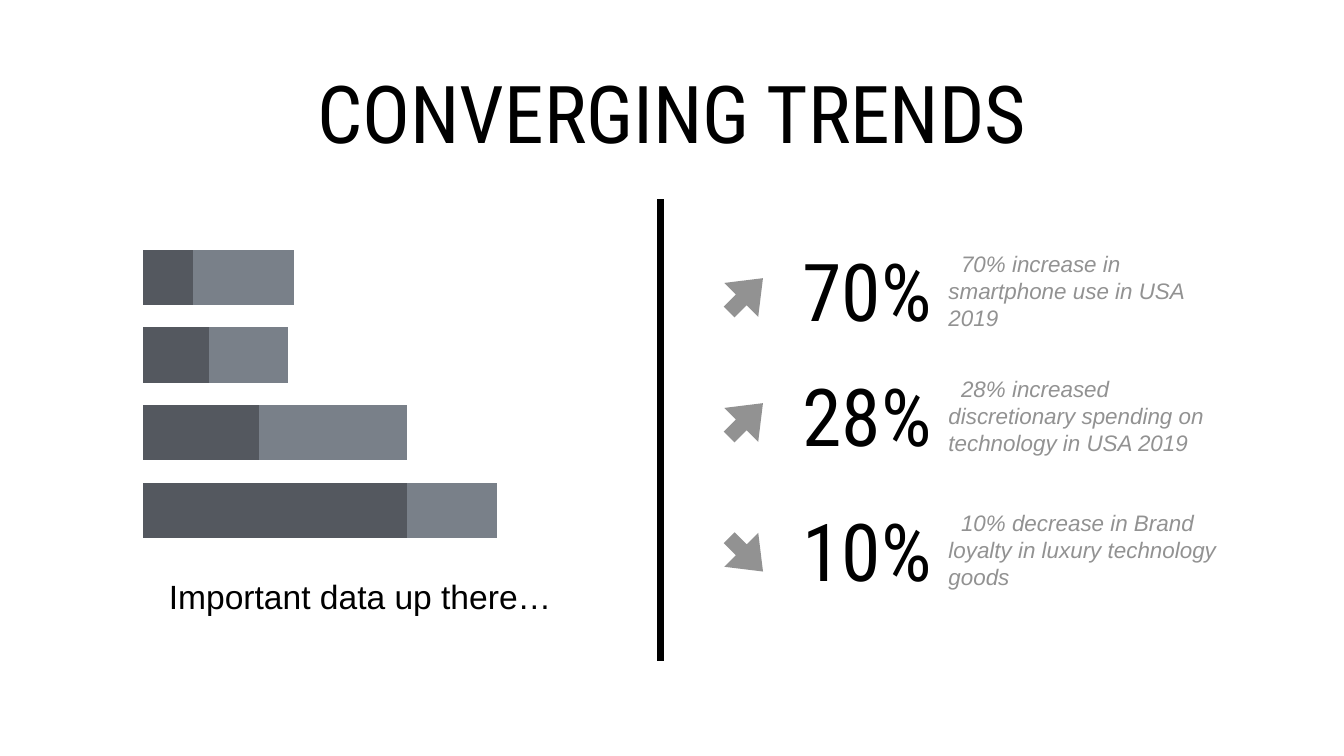
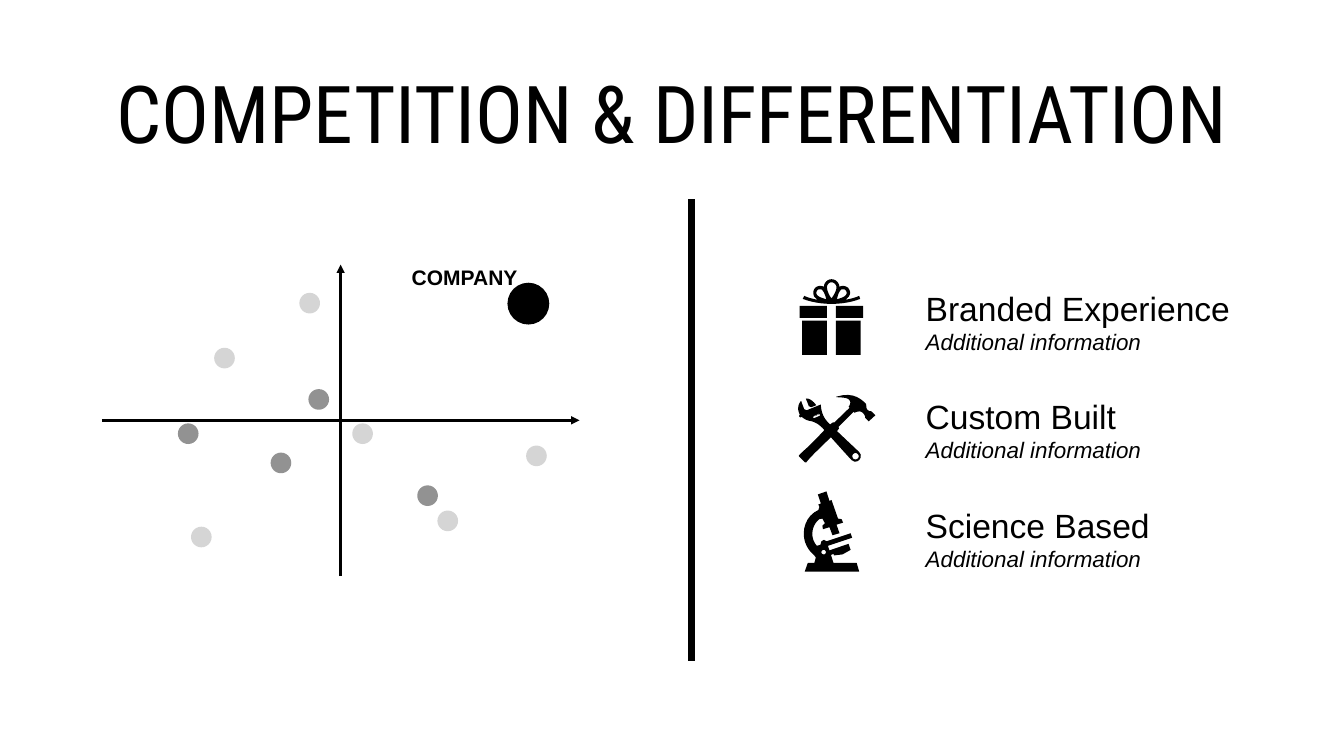
"""Build two pitch slides: converging trends, and competition with differentiation."""
from dataclasses import dataclass
from typing import NamedTuple

from lxml import etree
from pptx import Presentation
from pptx import util as u
from pptx.chart.data import CategoryChartData
from pptx.dml.color import RGBColor
from pptx.enum import chart as charts, shapes, text
from pptx.oxml import parse_xml
from pptx.oxml.ns import nsdecls, qn

CELL = u.Inches(1)
COLUMNS, ROWS = 26.67, 15
BLACK, WHITE, GRAY, PALE = "000000", "FFFFFF", "929292", "D5D5D5"
DARK_BAR, LIGHT_BAR = "54585F", "798089"
BODY_FONT, HEAD_FONT = "Arial", "Roboto Condensed"
PADDING = 0.06
CURVE_STEPS = 6


class Box(NamedTuple):
    left: float
    top: float
    width: float
    height: float

    def cells(self) -> list:
        return [grid(length) for length in self]


class Trend(NamedTuple):
    top: float
    figure: str
    detail: str
    rotation: int


class Dot(NamedTuple):
    left: float
    top: float
    color: str
    size: float = 0.41


@dataclass
class Style:
    size: float
    font: str = BODY_FONT
    color: str = BLACK
    bold: bool = False
    italic: bool = False
    align: text.PP_ALIGN = text.PP_ALIGN.LEFT
    indent: float = 0
    before: float = 0


HEADLINE = Style(114, HEAD_FONT, align=text.PP_ALIGN.CENTER)
FIGURE = Style(114, HEAD_FONT, align=text.PP_ALIGN.RIGHT)
DETAIL = Style(32, color=GRAY, italic=True, indent=0.25)
CAPTION = Style(48, indent=0.25, before=59)
FEATURE = Style(48, before=59)
EXTRA = Style(32, italic=True)
LABEL = Style(30, bold=True, align=text.PP_ALIGN.CENTER)

TITLE_BOX = Box(1.85, 0.96, 22.97, 2.5)
TRENDS = [
    Trend(4.75, "70%", "70% increase in smartphone use in USA 2019", 315),
    Trend(7.23, "28%", "28% increased discretionary spending on technology in USA 2019", 315),
    Trend(9.9, "10%", "10% decrease in Brand loyalty in luxury technology goods", 45),
]
SERIES = [
    ("Series 1", (19, 25, 44, 100), DARK_BAR),
    ("Series 2", (38, 30, 56, 34), LIGHT_BAR),
]
DOTS = [
    Dot(10.07, 5.61, BLACK, 0.83),
    Dot(5.37, 8.98, GRAY), Dot(3.53, 8.4, GRAY), Dot(6.12, 7.72, GRAY),
    Dot(4.25, 6.9, PALE), Dot(8.68, 10.13, PALE), Dot(10.44, 8.84, PALE),
    Dot(6.99, 8.4, PALE), Dot(5.94, 5.81, PALE), Dot(8.28, 9.63, GRAY),
    Dot(3.79, 10.45, PALE),
]
FEATURES = ["Branded Experience", "Custom Built", "Science Based"]

GIFT_PANELS = [(15.87, 6.07, 16.41, 6.31), (16.59, 6.07, 17.13, 6.31),
               (15.92, 6.36, 16.41, 7.04), (16.59, 6.36, 17.08, 7.04)]
GIFT = [
    "16.5,5.54 C 16.42,5.54 16.35,5.61 16.35,5.69 16.29,5.66 16.22,5.67 16.18,5.71"
    " 16.15,5.74 16.14,5.77 16.14,5.81 16.14,5.84 16.15,5.88 16.17,5.9"
    " 16.19,5.92 16.21,5.94 16.23,5.95 16.13,5.93 16.04,5.91 15.96,5.87"
    " L 15.93,5.93 C 16.08,5.99 16.29,6.03 16.5,6.03 16.72,6.03 16.92,5.99 17.07,5.93"
    " L 17.05,5.87 C 16.97,5.91 16.87,5.93 16.77,5.95 16.79,5.94 16.81,5.92 16.83,5.9"
    " 16.85,5.88 16.87,5.84 16.87,5.81 16.87,5.77 16.85,5.74 16.83,5.71"
    " 16.78,5.67 16.71,5.66 16.66,5.69 16.65,5.61 16.59,5.54 16.5,5.54",
    "16.5,5.6 C 16.55,5.6 16.6,5.65 16.6,5.7 16.6,5.77 16.54,5.87 16.5,5.92"
    " 16.46,5.87 16.41,5.77 16.41,5.7 16.41,5.65 16.45,5.6 16.5,5.6",
    "16.27,5.74 C 16.29,5.74 16.31,5.74 16.32,5.76 16.36,5.8 16.38,5.88 16.4,5.94"
    " 16.34,5.92 16.26,5.9 16.22,5.86 16.21,5.85 16.2,5.83 16.2,5.81"
    " 16.2,5.79 16.21,5.77 16.22,5.76 16.24,5.74 16.25,5.74 16.27,5.74",
    "16.73,5.74 C 16.75,5.74 16.77,5.74 16.78,5.76 16.81,5.79 16.81,5.83 16.78,5.86"
    " 16.75,5.9 16.66,5.92 16.61,5.94 16.62,5.88 16.64,5.8 16.68,5.76"
    " 16.69,5.74 16.71,5.74 16.73,5.74",
] + [f"{left},{top} {left},{bottom} {right},{bottom} {right},{top}"
     for left, top, right, bottom in GIFT_PANELS]
HAMMER = [
    "17.14,7.97 C 17.02,7.86 16.86,7.79 16.6,7.87 16.59,7.87 16.59,7.88 16.6,7.88"
    " 16.69,7.89 16.8,7.88 16.85,7.93 16.91,7.99 16.84,8.07 16.84,8.07"
    " L 16.86,8.09 16.56,8.38 16.53,8.38 C 16.44,8.43 16.26,8.65 16.13,8.77"
    " 16.03,8.88 15.91,8.97 15.87,9.02 15.85,9.03 15.85,9.05 15.86,9.06"
    " L 15.97,9.17 C 15.98,9.18 16,9.18 16.01,9.16 16.05,9.11 16.15,9 16.26,8.9"
    " 16.38,8.77 16.6,8.59 16.65,8.5 L 16.64,8.47 16.94,8.17 16.96,8.19"
    " C 16.96,8.19 17.06,8.13 17.12,8.19 17.18,8.25 17.17,8.29 17.17,8.29"
    " L 17.24,8.36 17.37,8.24 17.29,8.16 C 17.29,8.16 17.17,8.17 17.19,8.02"
    " 17.17,8 17.16,7.99 17.14,7.97",
]
WRENCH = [
    "15.89,7.96 C 15.82,8.05 15.83,8.15 15.87,8.22 15.87,8.23 15.86,8.25 15.86,8.25"
    " 15.85,8.26 15.88,8.29 15.89,8.28 15.89,8.28 15.9,8.28 15.91,8.27"
    " 15.95,8.31 16.01,8.34 16.06,8.35 16.16,8.36 16.25,8.42 16.32,8.49"
    " 16.36,8.53 16.84,9.07 16.9,9.13 17.01,9.23 17.15,9.07 17.05,8.97"
    " 17,8.92 16.58,8.53 16.43,8.38 16.3,8.25 16.29,8.08 16.29,8.03"
    " L 16.28,8.03 16.01,8.14 15.96,8.12 C 15.96,8.12 15.92,8.02 15.9,7.96",
    "15.99,7.91 C 16.02,7.97 16.05,8.06 16.05,8.06 L 16.1,8.08 16.2,8.04"
    " C 16.1,7.91 16.02,7.9 15.99,7.91",
    "16.13,8.25 16.15,8.27 16.17,8.24 16.2,8.25 16.21,8.22 16.24,8.23 16.25,8.2"
    " 16.27,8.23 16.27,8.25 16.15,8.3 16.14,8.29",
    "16.93,9.01 C 16.96,8.98 17,8.98 17.02,9.01 17.05,9.03 17.05,9.07 17.02,9.1"
    " 17,9.12 16.96,9.12 16.93,9.1 16.91,9.07 16.91,9.03 16.93,9.01",
]
MICROSCOPE = [
    "16.4,9.75 16.23,9.81 16.29,9.99 16.24,10.01 16.26,10.06 16.24,10.12"
    " C 16.06,10.2 15.95,10.38 15.95,10.59 15.95,10.76 16.03,10.91 16.15,11.01"
    " L 16.19,11.06 16.16,11.17 16.03,11.17 15.97,11.34 17.05,11.34 17,11.17 16.54,11.17"
    " 16.49,11.01 16.54,10.99 16.55,11.02 16.72,11 16.88,10.91 16.84,10.79 16.46,10.92"
    " 16.43,10.83 16.91,10.67 16.88,10.58 16.4,10.74 16.35,10.71 16.3,10.74 16.28,10.81"
    " 16.21,10.83 C 16.15,10.76 16.12,10.68 16.12,10.59 16.12,10.47 16.18,10.36 16.26,10.3"
    " L 16.32,10.29 16.37,10.38 16.32,10.43 16.33,10.5 16.46,10.46 16.52,10.62"
    " 16.66,10.58 16.6,10.41 16.73,10.37 16.7,10.3 16.63,10.29 16.5,9.92 16.46,9.94",
    "16.35,10.91 C 16.37,10.91 16.39,10.93 16.39,10.96 16.39,10.98 16.37,11 16.35,11"
    " 16.32,11 16.3,10.98 16.3,10.96 16.3,10.93 16.32,10.91 16.35,10.91",
]


def grid(cells: float) -> u.Emu:
    return u.Emu(round(cells * CELL))


def paint(target, color: str) -> None:
    target.solid()
    target.fore_color.rgb = RGBColor.from_string(color)


def finish(shape, color: str) -> None:
    paint(shape.fill, color)
    shape.line.fill.background()
    shape.shadow.inherit = False


def write(shape, lines: list, anchor: text.MSO_ANCHOR, padding: float = PADDING,
          wrap: bool = True) -> None:
    frame = shape.text_frame
    frame.word_wrap = wrap
    frame.auto_size = text.MSO_AUTO_SIZE.NONE if wrap else text.MSO_AUTO_SIZE.SHAPE_TO_FIT_TEXT
    frame.vertical_anchor = anchor
    frame.margin_left = frame.margin_right = grid(padding)
    frame.margin_top = frame.margin_bottom = grid(padding)
    for index, (words, style) in enumerate(lines):
        paragraph = frame.add_paragraph() if index else frame.paragraphs[0]
        paragraph.text = words
        paragraph.alignment = style.align
        paragraph.space_before = u.Pt(style.before)
        font = paragraph.font
        font.name, font.size = style.font, u.Pt(style.size)
        font.bold, font.italic = style.bold, style.italic
        font.color.rgb = RGBColor.from_string(style.color)
        if style.indent:
            properties = paragraph._p.get_or_add_pPr()
            properties.set("marL", "0")
            properties.set("indent", str(grid(style.indent)))


def add_text(slide, box: Box, lines: list, anchor: text.MSO_ANCHOR, **options) -> None:
    write(slide.shapes.add_textbox(*box.cells()), lines, anchor, **options)


def add_line(canvas, start: tuple, end: tuple, width: float, arrow: bool = False) -> None:
    ends = [grid(length) for length in start + end]
    connector = canvas.add_connector(shapes.MSO_CONNECTOR.STRAIGHT, *ends)
    connector.line.width = u.Pt(width)
    paint(connector.line.fill, BLACK)
    if arrow:
        etree.SubElement(connector.line._get_or_add_ln(), qn("a:tailEnd"), type="triangle")
    etree.SubElement(connector._element.spPr, qn("a:effectLst"))


def trace(outline: str) -> list:
    points, controls, command = [], [], "L"
    for token in outline.split():
        if token in ("L", "C"):
            command = token
            continue
        controls.append(tuple(float(number) * CELL for number in token.split(",")))
        if command == "L":
            points.append(controls.pop())
        elif len(controls) == 3:
            curve = [points[-1], *controls]
            for step in range(1, CURVE_STEPS + 1):
                t = step / CURVE_STEPS
                weights = (1 - t) ** 3, 3 * t * (1 - t) ** 2, 3 * t * t * (1 - t), t ** 3
                points.append(tuple(sum(weight * point[axis] for weight, point in zip(weights, curve))
                                    for axis in (0, 1)))
            controls = []
    return points


def add_icon(canvas, outlines: list) -> None:
    first, *others = [trace(outline) for outline in outlines]
    builder = canvas.build_freeform(*first[0])
    builder.add_line_segments(first[1:])
    for contour in others:
        builder.move_to(*contour[0])
        builder.add_line_segments(contour[1:])
    finish(builder.convert_to_shape(), BLACK)


def add_titled_slide(presentation, title: str, divider: float):
    slide = presentation.slides.add_slide(presentation.slide_layouts[5])
    paint(slide.background.fill, WHITE)
    heading = slide.shapes.title
    heading.left, heading.top, heading.width, heading.height = TITLE_BOX.cells()
    write(heading, [(title, HEADLINE)], text.MSO_ANCHOR.MIDDLE)
    add_line(slide.shapes, (divider, 3.95), (divider, 13.11), 10)
    return slide


def add_bars(slide, box: Box) -> None:
    data = CategoryChartData()
    data.categories = ["1", "2", "3", "4"]
    for name, values, _ in SERIES:
        data.add_series(name, values)
    chart = slide.shapes.add_chart(charts.XL_CHART_TYPE.BAR_STACKED, *box.cells(), data).chart
    chart.has_legend = chart.has_title = False
    chart.font.name, chart.font.size = BODY_FONT, u.Pt(10)
    chart.font.color.rgb = RGBColor.from_string(BLACK)
    for axis in (chart.category_axis, chart.value_axis):
        axis.tick_label_position = charts.XL_TICK_LABEL_POSITION.NONE
        axis.major_tick_mark = axis.minor_tick_mark = charts.XL_TICK_MARK.NONE
        axis.tick_labels.font.size = u.Pt(32)
        axis.format.line.fill.background()
    chart.category_axis.reverse_order = True
    scale = chart.value_axis
    scale.minimum_scale, scale.maximum_scale, scale.major_unit = 0, 175, 35
    paint(scale.major_gridlines.format.line.fill, WHITE)
    scale.major_gridlines.format.line.width = u.Pt(1)
    plot = chart.plots[0]
    plot.gap_width, plot.overlap, plot.vary_by_categories = 40, 100, False
    for series, (_, _, color) in zip(plot.series, SERIES):
        paint(series.format.fill, color)
    area = chart._chartSpace.chart.plotArea
    for layout in area.findall(qn("c:layout")):
        area.remove(layout)
    places = "".join(f'<c:{tag} val="{value}"/>' for tag, value in [
        ("layoutTarget", "inner"), ("xMode", "edge"), ("yMode", "edge"),
        ("x", 0.034), ("y", 0.074), ("w", 0.961), ("h", 0.881)])
    area.insert(0, parse_xml(f'<c:layout {nsdecls("c")}><c:manualLayout>{places}'
                             "</c:manualLayout></c:layout>"))


def add_trend(slide, trend: Trend) -> None:
    bottom = text.MSO_ANCHOR.BOTTOM
    add_text(slide, Box(15.55, trend.top, 3, 2.01), [(trend.figure, FIGURE)], bottom, wrap=False)
    add_text(slide, Box(18.82, trend.top + 0.2, 5.68, 1.61), [(trend.detail, DETAIL)], bottom, padding=0)
    arrow = slide.shapes.add_shape(shapes.MSO_SHAPE.RIGHT_ARROW,
                                   *Box(14.33, trend.top + 0.63, 0.95, 0.95).cells())
    arrow.adjustments[0], arrow.adjustments[1] = 0.32, 0.64
    arrow.rotation = trend.rotation
    finish(arrow, GRAY)


def add_positioning_map(slide) -> None:
    canvas = slide.shapes.add_group_shape().shapes
    add_line(canvas, (2.02, 8.34), (11.5, 8.34), 4, arrow=True)
    add_line(canvas, (6.76, 11.43), (6.76, 5.25), 4, arrow=True)
    for dot in DOTS:
        box = Box(dot.left, dot.top, dot.size, dot.size)
        finish(canvas.add_shape(shapes.MSO_SHAPE.OVAL, *box.cells()), dot.color)
    add_text(slide, Box(8.09, 5.2, 2.26, 0.61), [("COMPANY", LABEL)], text.MSO_ANCHOR.MIDDLE, wrap=False)


def main() -> None:
    presentation = Presentation()
    presentation.slide_width, presentation.slide_height = grid(COLUMNS), grid(ROWS)

    slide = add_titled_slide(presentation, "CONVERGING TRENDS", 13.1)
    add_bars(slide, Box(2.51, 4.22, 9.56, 6.99))
    for trend in TRENDS:
        add_trend(slide, trend)
    add_text(slide, Box(3.1, 11.43, 8.38, 1.61), [("Important data up there…", CAPTION)],
             text.MSO_ANCHOR.TOP, padding=0)

    slide = add_titled_slide(presentation, "COMPETITION & DIFFERENTIATION", 13.72)
    add_positioning_map(slide)
    add_icon(slide.shapes, GIFT)
    tools = slide.shapes.add_group_shape().shapes
    add_icon(tools, HAMMER)
    add_icon(tools, WRENCH)
    add_icon(slide.shapes, MICROSCOPE)
    lines = [line for name in FEATURES for line in ((name, FEATURE), ("Additional information", EXTRA))]
    add_text(slide, Box(18.31, 3.44, 6.23, 10.17), lines, text.MSO_ANCHOR.MIDDLE)
    presentation.save("out.pptx")


if __name__ == "__main__":
    main()
